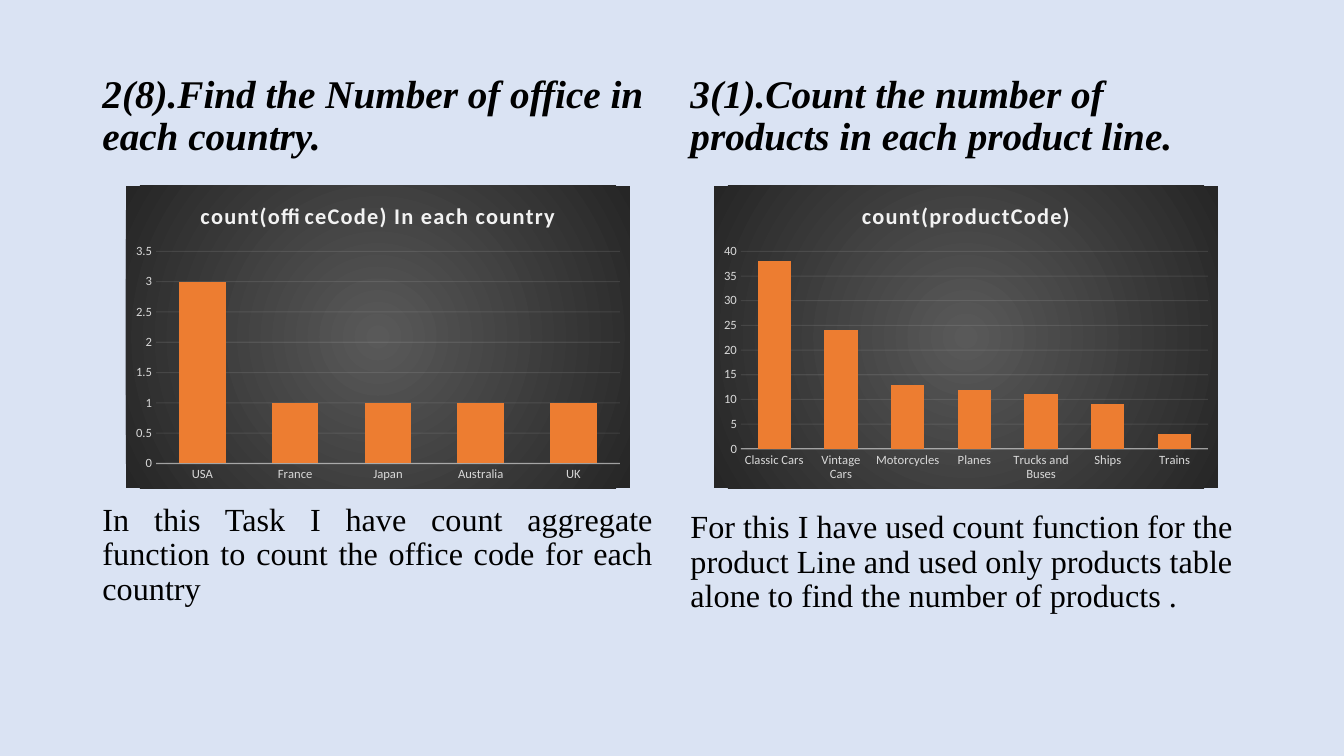
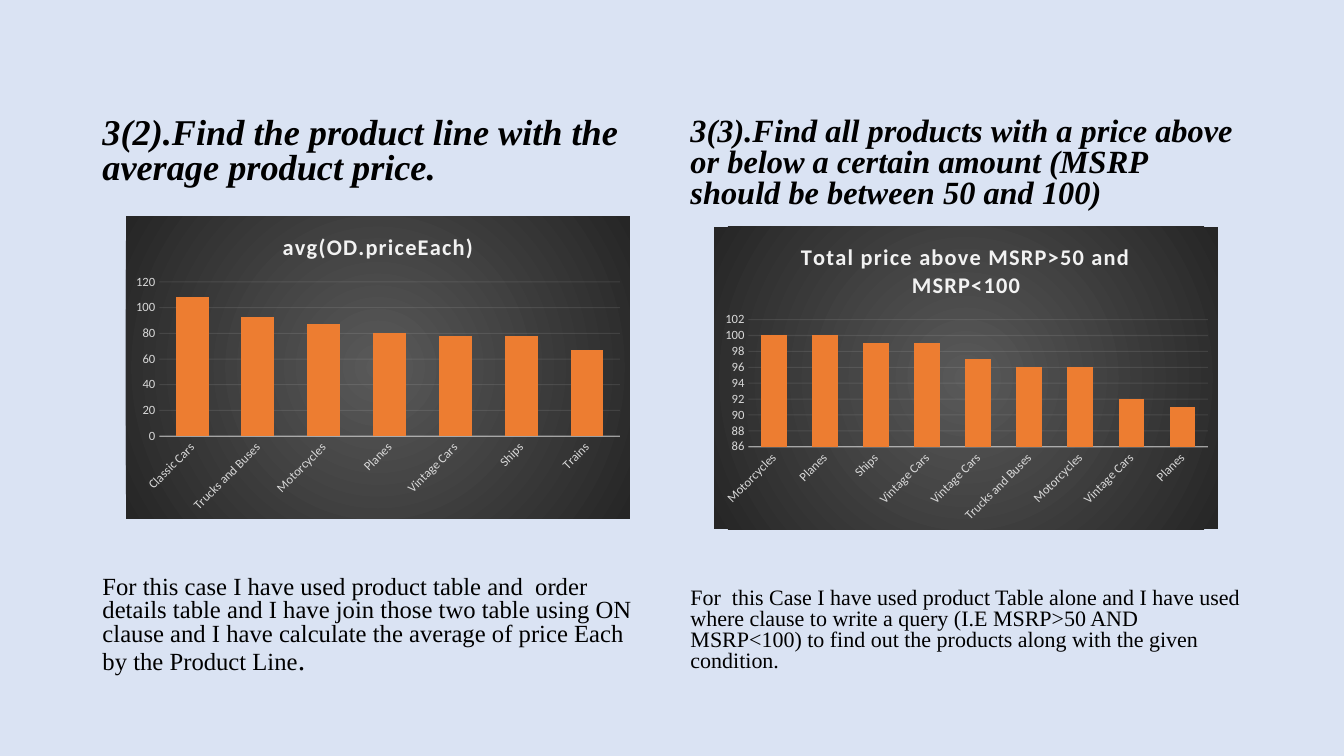
from dataclasses import dataclass

from lxml.etree import SubElement
from pptx import Presentation
from pptx.chart.data import CategoryChartData
from pptx.dml.color import RGBColor
from pptx.enum.chart import XL_CHART_TYPE, XL_TICK_MARK
from pptx.enum.text import MSO_AUTO_SIZE, PP_ALIGN
from pptx.oxml import parse_xml
from pptx.oxml.ns import nsdecls, qn
from pptx.util import Emu, Pt

PAPER, INK, BAR = "DAE3F3", "000000", "ED7D31"
PALE, LABEL, MID, DARK = "F2F2F2", "D9D9D9", "595959", "262626"
SERIF, SANS = "Times New Roman", "Calibri"
LEFT, STEP, WIDTH, BOTTOM = 88, 560, 544, 649
INSET, PLOT_W, PLOT_H = 32, 480, 288


@dataclass
class Panel:
    """One column: heading, chart and note; gap is the points left for the chart."""
    head: str
    size: float
    note: list
    gap: int
    top: int
    title: str
    series: str
    data: list
    scale: tuple
    align: PP_ALIGN = PP_ALIGN.LEFT


def px(count):
    return Emu(count * 9525)


def color(code):
    return RGBColor.from_string(code)


def style(font, name, size, code, bold=False, italic=False):
    font.name, font.size = name, Pt(size)
    font.bold, font.italic = bold, italic
    font.color.rgb = color(code)


def stroke(line, code, width, alpha):
    line.width = Pt(width)
    line.color.rgb = color(code)
    tint = line._get_or_add_ln().find(".//" + qn("a:srgbClr"))
    SubElement(tint, qn("a:alpha")).set("val", str(alpha * 1000))


def shade(chart):
    """Fill the chart area with a round gradient."""
    stops = "".join(
        f'<a:gs pos="{pos}"><a:srgbClr val="{code}"/></a:gs>'
        for pos, code in ((0, MID), (100000, DARK)))
    area = parse_xml(
        f'<c:spPr {nsdecls("c", "a")}><a:gradFill><a:gsLst>{stops}</a:gsLst>'
        '<a:path path="circle"><a:fillToRect l="50000" t="50000" r="50000" b="50000"/>'
        '</a:path></a:gradFill><a:ln><a:noFill/></a:ln></c:spPr>')
    chart._chartSpace.find(qn("c:txPr")).addprevious(area)


def add_para(para, runs, space, before, align, bold):
    para.alignment, para.line_spacing = align, space
    para.space_before, para.space_after = Pt(before), Pt(0)
    props = para._p.get_or_add_pPr()
    props.set("marL", "0")
    props.set("indent", "0")
    SubElement(props, qn("a:buNone"))
    for text, size in runs:
        run = para.add_run()
        run.text = text
        style(run.font, SERIF, size, INK, bold, bold)


def fill_text(box, panel, left, top, space):
    box.left, box.top = px(left), px(top)
    box.width, box.height = px(WIDTH), px(BOTTOM - top)
    frame = box.text_frame
    frame.word_wrap, frame.auto_size = True, MSO_AUTO_SIZE.NONE
    add_para(frame.paragraphs[0], [(panel.head, panel.size)], space, 10,
             PP_ALIGN.LEFT, True)
    add_para(frame.add_paragraph(), panel.note, space, panel.gap, panel.align, False)


def format_axes(chart, scale, slant):
    names, values = chart.category_axis, chart.value_axis
    for axis in (names, values):
        axis.major_tick_mark = axis.minor_tick_mark = XL_TICK_MARK.NONE
        style(axis.tick_labels.font, SANS, 9, LABEL)
    stroke(names.format.line, PALE, 1, 54)
    if slant:
        names._element.find(qn("c:txPr")).find(qn("a:bodyPr")).set("rot", "-2700000")
    values.format.line.fill.background()
    stroke(values.major_gridlines.format.line, PALE, 0.75, 10)
    values.minimum_scale, values.maximum_scale, values.major_unit = scale


def add_bars(slide, panel, left, slant):
    data = CategoryChartData()
    data.categories = [name for name, _ in panel.data]
    data.add_series(panel.series, [value for _, value in panel.data])
    chart = slide.shapes.add_chart(
        XL_CHART_TYPE.COLUMN_CLUSTERED, px(left), px(panel.top),
        px(PLOT_W), px(PLOT_H), data).chart
    style(chart.font, SANS, 10, INK)
    shade(chart)
    chart.has_legend = False
    chart.has_title = True
    run = chart.chart_title.text_frame.paragraphs[0].add_run()
    run.text = panel.title
    style(run.font, SANS, 16, PALE, True)
    run._r.get_or_add_rPr().set("spc", "100")
    plot = chart.plots[0]
    plot.gap_width, plot.overlap, plot.vary_by_categories = 100, -24, False
    fill = plot.series[0].format.fill
    fill.solid()
    fill.fore_color.rgb = color(BAR)
    format_axes(chart, panel.scale, slant)


def add_pair(deck, panels, top, space, slant):
    """Add a slide with two panels side by side."""
    slide = deck.slides.add_slide(deck.slide_layouts.get_by_name("Two Content"))
    title = slide.shapes.title._element
    title.getparent().remove(title)
    boxes = list(slide.placeholders)
    for col, (box, panel) in enumerate(zip(boxes, panels)):
        left = LEFT + col * STEP
        fill_text(box, panel, left, top, space)
        add_bars(slide, panel, left + INSET, slant)


OFFICES = Panel(
    "2(8).Find the Number of office in each country.", 28,
    [("In this Task I have count aggregate function to count the office code "
      "for each country", 23)],
    246, 177, "count(officeCode) In each country", "Series 1",
    [("USA", 3), ("France", 1), ("Japan", 1), ("Australia", 1), ("UK", 1)],
    (0, 3.5, 0.5), PP_ALIGN.JUSTIFY)

LINES = Panel(
    "3(1).Count the number of products in each product line.", 28,
    [("For this I have used count function for the product Line and used only "
      "products table alone to find the number of products .", 23)],
    251, 177, "count(productCode)", "count(productCode)",
    [("Classic Cars", 38), ("Vintage Cars", 24), ("Motorcycles", 13), ("Planes", 12),
     ("Trucks and Buses", 11), ("Ships", 9), ("Trains", 3)],
    (0, 40, 5))

PRICES = Panel(
    "3(2).Find the product line with the average product price.", 25.9,
    [("For this case I have used product table and  order details table and I have "
      "join those two table using ON clause and I have calculate the average of "
      "price Each by the Product Line", 17.6), (".", 21.3)],
    278, 206, "avg(OD.priceEach)", "avg(OD.priceEach)",
    [("Classic Cars", 108), ("Trucks and Buses", 93), ("Motorcycles", 87),
     ("Planes", 80), ("Vintage Cars", 78), ("Ships", 78), ("Trains", 67)],
    (0, 120, 20))

RANGE = Panel(
    "3(3).Find all products with a price above or below a certain amount "
    "(MSRP should be between 50 and 100)", 23.1,
    [("For  this Case I have used product Table alone and I have used where clause "
      "to write a query (I.E MSRP>50 AND MSRP<100) to find out the products along "
      "with the given condition.", 15.7)],
    270, 216, "Total price above MSRP>50 and MSRP<100", "Series 1",
    [("Motorcycles", 100), ("Planes", 100), ("Ships", 99), ("Vintage Cars", 99),
     ("Vintage Cars", 97), ("Trucks and Buses", 96), ("Motorcycles", 96),
     ("Vintage Cars", 92), ("Planes", 91)],
    (86, 102, 2))


def main():
    deck = Presentation()
    deck.slide_width, deck.slide_height = px(1280), px(720)
    paper = deck.slide_master.background.fill
    paper.solid()
    paper.fore_color.rgb = color(PAPER)
    add_pair(deck, (OFFICES, LINES), 66, 0.9, False)
    add_pair(deck, (PRICES, RANGE), 107, 0.8, True)
    deck.save("out.pptx")


if __name__ == "__main__":
    main()
